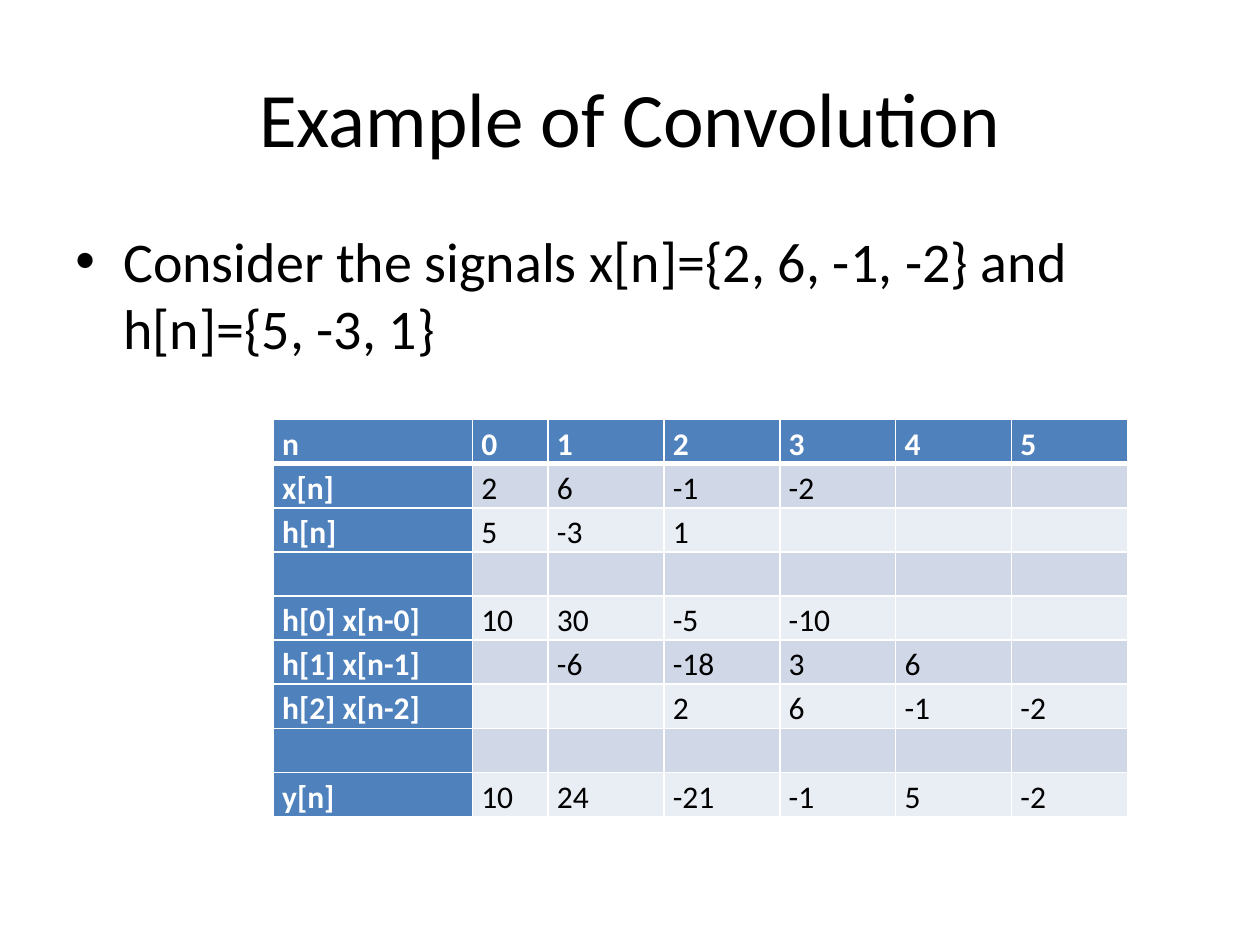
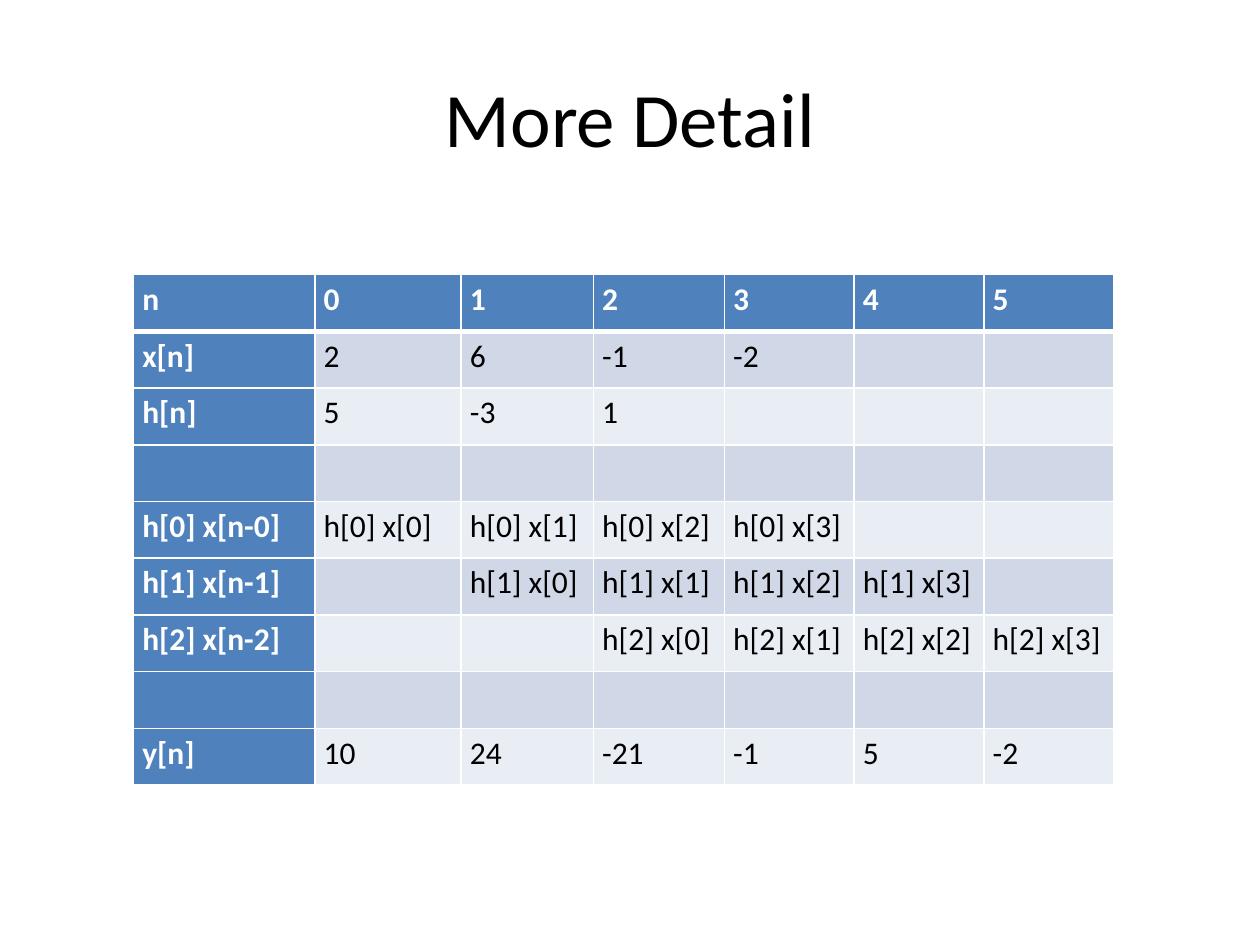
from lxml.etree import SubElement
from pptx import Presentation
from pptx.dml.color import RGBColor
from pptx.enum.text import MSO_ANCHOR as Anchor, PP_ALIGN as Align
from pptx.oxml.ns import qn
from pptx.util import Inches, Pt

# Shared style
FONT = "Calibri"
BLACK, WHITE = "000000", "FFFFFF"
HEAD, BAND_DARK, BAND_LIGHT = "4F81BD", "D0D8E8", "E9EDF4"

# Signals to convolve
X = [2, 6, -1, -2]
H = [5, -3, 1]
LENGTH = len(X) + len(H) - 1


def color(hex_code):
    return RGBColor.from_string(hex_code)


def add_run(p, text, size, hex_code=BLACK, bold=False):
    r = p.add_run()
    r.text = text
    r.font.name = FONT
    r.font.size = Pt(size)
    r.font.bold = bold
    r.font.color.rgb = color(hex_code)


def add_text_frame(s, left, top, width, height):
    box = s.shapes.add_textbox(Inches(left), Inches(top), Inches(width), Inches(height))
    tf = box.text_frame
    tf.word_wrap = True
    return tf


def add_title(s, text):
    tf = add_text_frame(s, 0.5, 0.3, 9, 1.25)
    tf.vertical_anchor = Anchor.MIDDLE
    p = tf.paragraphs[0]
    p.alignment = Align.CENTER
    add_run(p, text, 44)


def add_bullet(s, text):
    p = add_text_frame(s, 0.5, 1.75, 9, 4.95).paragraphs[0]
    p.space_before = Pt(6.4)
    pPr = p._p.get_or_add_pPr()
    pPr.set("marL", str(Inches(0.38)))
    pPr.set("indent", str(-Inches(0.38)))
    SubElement(pPr, qn("a:buFont"), typeface="Arial")
    SubElement(pPr, qn("a:buChar"), char="•")
    add_run(p, text, 32)


def set_borders(cell, top, bottom):
    tcPr = cell._tc.get_or_add_tcPr()
    for side, width in (("L", 1), ("R", 1), ("T", top), ("B", bottom)):
        ln = SubElement(tcPr, qn(f"a:ln{side}"), w=str(Pt(width)))
        fill = SubElement(ln, qn("a:solidFill"))
        SubElement(fill, qn("a:srgbClr"), val=WHITE)


def style_cell(cell, row, col):
    set_borders(cell, top=3 if row == 1 else 1, bottom=3 if row == 0 else 1)
    cell.margin_left = cell.margin_right = Inches(0.07)
    cell.margin_top = cell.margin_bottom = 0
    cell.fill.solid()
    band = BAND_DARK if row % 2 else BAND_LIGHT
    cell.fill.fore_color.rgb = color(HEAD if row == 0 or col == 0 else band)


def add_signal_table(s, rows, left, top, col_widths, row_height):
    frame = s.shapes.add_table(
        len(rows), len(col_widths), Inches(left), Inches(top),
        Inches(sum(col_widths)), Inches(row_height * len(rows)))
    table = frame.table
    for column, width in zip(table.columns, col_widths):
        column.width = Inches(width)
    for i, values in enumerate(rows):
        table.rows[i].height = Inches(row_height)
        for j, value in enumerate(values):
            cell = table.cell(i, j)
            style_cell(cell, i, j)
            p = cell.text_frame.paragraphs[0]
            p.line_spacing = 1.15
            if value != "":
                heading = i == 0 or j == 0
                add_run(p, str(value), 18, WHITE if heading else BLACK, heading)


def padded(label, values, shift=0):
    """One table row: a label, then values moved right by shift."""
    after = LENGTH - shift - len(values)
    return [label] + [""] * shift + list(values) + [""] * after


def convolution_rows(term):
    """Rows of the table; term(k, m) shows the product h[k] x[m]."""
    y = [sum(H[k] * X[n - k] for k in range(len(H)) if 0 <= n - k < len(X))
         for n in range(LENGTH)]
    products = [padded(f"h[{k}] x[n-{k}]", [term(k, m) for m in range(len(X))], k)
                for k in range(len(H))]
    gap = padded("", [])
    return [padded("n", range(LENGTH)), padded("x[n]", X), padded("h[n]", H),
            gap, *products, gap, padded("y[n]", y)]


def main():
    prs = Presentation()
    prs.slide_width, prs.slide_height = Inches(10), Inches(7.5)
    blank = prs.slide_layouts[6]

    # Slide 1: products as numbers
    s = prs.slides.add_slide(blank)
    add_title(s, "Example of Convolution")
    add_bullet(s, "Consider the signals x[n]={2, 6, -1, -2} and h[n]={5, -3, 1}")
    add_signal_table(s, convolution_rows(lambda k, m: H[k] * X[m]),
                     2.17, 3.33, [1.58, 0.6] + [0.92] * 5, 0.35)

    # Slide 2: products as terms
    s = prs.slides.add_slide(blank)
    add_title(s, "More Detail")
    add_signal_table(s, convolution_rows(lambda k, m: f"h[{k}] x[{m}]"),
                     1.06, 2.18, [1.44, 1.16, 1.05, 1.04] + [1.03] * 3, 0.45)

    prs.save("out.pptx")


if __name__ == "__main__":
    main()
